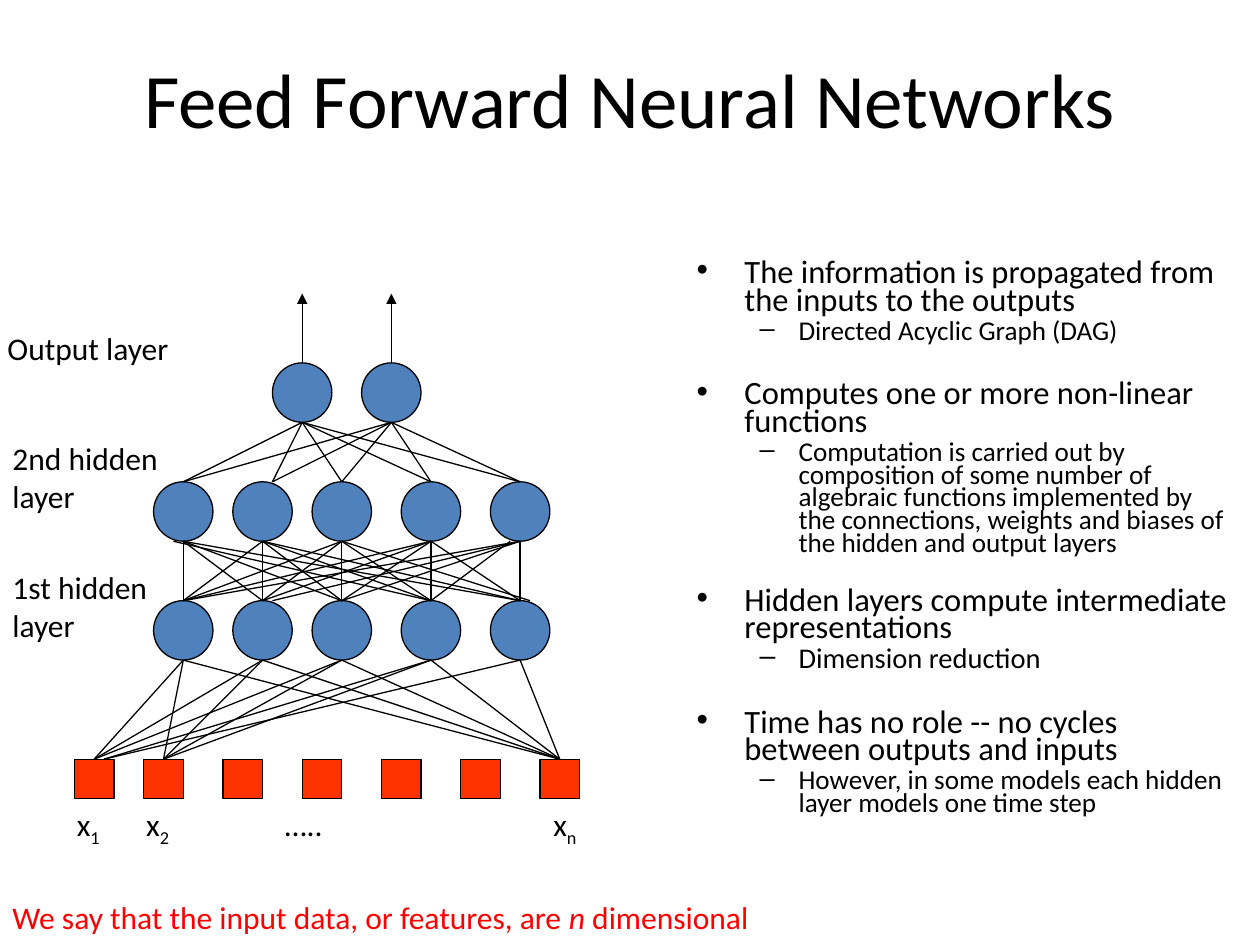
from itertools import product

from lxml.etree import SubElement
from pptx import Presentation
from pptx.dml.color import RGBColor
from pptx.enum.shapes import MSO_CONNECTOR, MSO_SHAPE
from pptx.enum.text import MSO_ANCHOR, PP_ALIGN
from pptx.oxml.ns import qn
from pptx.util import Inches, Pt

BLACK = RGBColor(0x00, 0x00, 0x00)
BLUE = RGBColor(0x4F, 0x81, 0xBD)
ORANGE = RGBColor(0xFF, 0x33, 0x00)
RED = RGBColor(0xFF, 0x00, 0x00)
FONT = "Calibri"

# Network grid: 51 x 51 units, columns are node centres, rows are node tops
GRID = 51
NODE, SQUARE, ARROW = 6, 4, 7
HIDDEN_COLS = [11, 19, 27, 36, 45]
OUTPUT_COLS = [23, 32]
INPUT_COLS = [2, 9, 17, 25, 33, 41, 49]
OUTPUT_ROW, SECOND_ROW, FIRST_ROW, INPUT_ROW = 7, 19, 31, 47

# Ends that sit one unit off centre: (lower, upper) -> (lower shift, upper shift)
OUTPUT_SHIFTS = {(19, 23): (1, 0), (19, 32): (1, 0)}
HIDDEN_SHIFTS = {(45, 27): (1, 0), (19, 45): (1, 0),
                 (36, 11): (0, -1), (36, 45): (0, -1)}
INPUT_SHIFTS = {(2, 36): (1, 0), (2, 45): (1, 0)}

# Level, size, space before, wording
POINTS = [
    (0, 18.6, 0, "The information is propagated from the inputs to the outputs"),
    (1, 15.5, 3, "Directed Acyclic Graph (DAG)"),
    (0, 18.6, 22, "Computes one or more non-linear functions"),
    (1, 15.5, 3, "Computation is carried out by composition of some number of "
                 "algebraic functions implemented by the connections, weights "
                 "and biases of the hidden and output layers"),
    (0, 18.6, 18.5, "Hidden layers compute intermediate representations"),
    (1, 16.3, 3, "Dimension reduction"),
    (0, 18.6, 22, "Time has no role -- no cycles between outputs and inputs"),
    (1, 15.5, 3, "However, in some models each hidden layer models one time step"),
]
# Bullet, left margin, hanging indent
BULLETS = [("•", 0.38, 0.38), ("–", 0.81, 0.31)]


def style(paragraph, size=18, color=BLACK):
    font = paragraph.font
    font.name, font.size, font.color.rgb = FONT, Pt(size), color


def add_text(slide, left, top, width, height, wrap=True):
    frame = slide.shapes.add_textbox(*map(Inches, (left, top, width, height))).text_frame
    frame.word_wrap = wrap
    return frame


def add_title(slide, left, top, width, height):
    title = slide.shapes.title
    title.left, title.top, title.width, title.height = map(Inches, (left, top, width, height))
    frame = title.text_frame
    frame.text = "Feed Forward Neural Networks"
    frame.vertical_anchor = MSO_ANCHOR.MIDDLE
    frame.paragraphs[0].alignment = PP_ALIGN.CENTER
    style(frame.paragraphs[0], 44)


def add_points(slide, left, top, width, height):
    frame = add_text(slide, left, top, width, height)
    for index, (level, size, before, wording) in enumerate(POINTS):
        point = frame.add_paragraph() if index else frame.paragraphs[0]
        point.text = wording
        point.level = level
        point.line_spacing = 0.7
        point.space_before = Pt(before)
        bullet, margin, hanging = BULLETS[level]
        properties = point._p.get_or_add_pPr()
        properties.set("marL", str(Inches(margin)))
        properties.set("indent", str(-Inches(hanging)))
        SubElement(properties, qn("a:buFont")).set("typeface", "Arial")
        SubElement(properties, qn("a:buChar")).set("char", bullet)
        style(point, size)


def add_network(slide, left, top, size):
    unit = size / GRID

    def x(col):
        return left + col * unit

    def y(row):
        return top + row * unit

    def add_layer(cols, row, side, preset, color):
        for col in cols:
            node = slide.shapes.add_shape(
                preset, Inches(x(col - side / 2)), Inches(y(row)),
                Inches(side * unit), Inches(side * unit))
            node.shadow.inherit = False
            node.fill.solid()
            node.fill.fore_color.rgb = color
            node.line.color.rgb = BLACK
            node.line.width = Pt(0.75)

    def add_line(start_col, start_row, end_col, end_row):
        line = slide.shapes.add_connector(
            MSO_CONNECTOR.STRAIGHT, Inches(x(start_col)), Inches(y(start_row)),
            Inches(x(end_col)), Inches(y(end_row)))
        line.line.color.rgb = BLACK
        line.line.width = Pt(0.75)
        SubElement(line._element.spPr, qn("a:effectLst"))
        return line

    def connect(pairs, lower_row, upper_row, shifts):
        for lower, upper in pairs:
            lower_shift, upper_shift = shifts.get((lower, upper), (0, 0))
            add_line(lower + lower_shift, lower_row,
                     upper + upper_shift, upper_row + NODE)

    # Nodes and inputs
    for cols, row in [(HIDDEN_COLS, FIRST_ROW), (HIDDEN_COLS, SECOND_ROW),
                      (OUTPUT_COLS, OUTPUT_ROW)]:
        add_layer(cols, row, NODE, MSO_SHAPE.OVAL, BLUE)
    add_layer(INPUT_COLS, INPUT_ROW, SQUARE, MSO_SHAPE.RECTANGLE, ORANGE)

    # Connections; the second input does not reach the last hidden node
    connect(product(HIDDEN_COLS, OUTPUT_COLS), SECOND_ROW, OUTPUT_ROW, OUTPUT_SHIFTS)
    connect(product(HIDDEN_COLS, HIDDEN_COLS), FIRST_ROW, SECOND_ROW, HIDDEN_SHIFTS)
    first, second, *_, last = INPUT_COLS
    input_pairs = [*product((first, last), HIDDEN_COLS),
                   *product((second,), HIDDEN_COLS[:-1])]
    connect(input_pairs, INPUT_ROW, FIRST_ROW, INPUT_SHIFTS)

    # Output arrows
    for col in OUTPUT_COLS:
        arrow = add_line(col, OUTPUT_ROW, col, OUTPUT_ROW - ARROW)
        SubElement(arrow.line._get_or_add_ln(), qn("a:tailEnd")).set("type", "triangle")

    # Input labels
    for col, subscript in [(-1, "1"), (6, "2"), (47.1, "n")]:
        label = add_text(slide, x(col), y(GRID), 0.4, 0.4, wrap=False).paragraphs[0]
        label.add_run().text = "x"
        index = label.add_run()
        index.text = subscript
        style(label)
        index.font._element.set("baseline", "-25000")
    dots = add_text(slide, x(20), y(GRID), 1.96, 0.4).paragraphs[0]
    dots.text = "….."
    style(dots)

    # Layer labels
    for col, row, lines in [(-8, 3, ["Output layer"]),
                            (-7.5, 14.1, ["2nd hidden", "layer"]),
                            (-7.5, 27.1, ["1st hidden", "layer"])]:
        label = add_text(slide, x(col), y(row), 1.69, 0.1 + 0.3 * len(lines))
        label.text = "\n".join(lines)
        for paragraph in label.paragraphs:
            style(paragraph)


def add_caption(slide, left, top, width, height):
    caption = add_text(slide, left, top, width, height, wrap=False).paragraphs[0]
    for wording, italic in [("We say that the input data, or features, are ", None),
                            ("n ", True), ("dimensional", None)]:
        run = caption.add_run()
        run.text = wording
        run.font.italic = italic
    style(caption, color=RED)


def main():
    deck = Presentation()
    deck.slide_width, deck.slide_height = Inches(10), Inches(7.5)
    slide = deck.slides.add_slide(deck.slide_layouts[5])
    add_title(slide, 0.5, 0.15, 9, 1.25)
    add_points(slide, 5.43, 2.03, 4.42, 5.07)
    add_network(slide, 0.59, 2.33, 4.01)
    add_caption(slide, 0, 7.08, 6.4, 0.4)
    deck.save("out.pptx")


if __name__ == "__main__":
    main()
